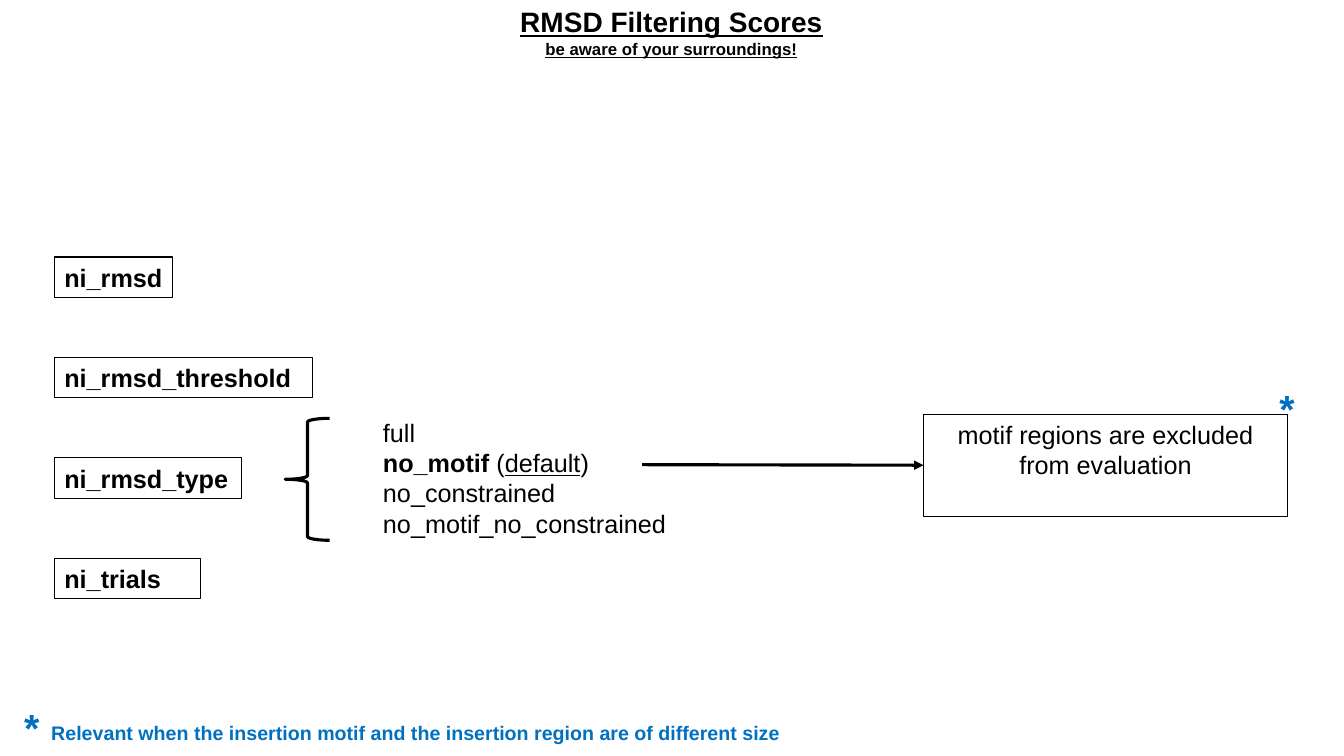
from lxml import etree
from pptx import Presentation
from pptx.dml.color import RGBColor
from pptx.enum.shapes import MSO_CONNECTOR, MSO_SHAPE
from pptx.enum.text import MSO_ANCHOR, MSO_AUTO_SIZE, PP_ALIGN
from pptx.oxml.ns import qn
from pptx.util import Inches, Pt

LEFT, CENTER = PP_ALIGN.LEFT, PP_ALIGN.CENTER
TOP = MSO_ANCHOR.TOP
FIT_SHAPE, NO_FIT = MSO_AUTO_SIZE.SHAPE_TO_FIT_TEXT, MSO_AUTO_SIZE.NONE
BRACE, RECTANGLE = MSO_SHAPE.LEFT_BRACE, MSO_SHAPE.RECTANGLE
STRAIGHT = MSO_CONNECTOR.STRAIGHT

FONT = "Arial"
BLACK, BLUE = "000000", "0070C0"

TITLE = [[("RMSD Filtering Scores", 20, "bu")],
         [("be aware of your surroundings!", 12, "bu")]]
TYPE_VALUES = [[("full", 18, "")],
               [("no_motif", 18, "b"), (" (", 18, ""), ("default", 18, "u"), (")", 18, "")],
               [("no_constrained", 18, "")],
               [("no_motif_no_constrained", 18, "")]]
EXPLANATION = [[("motif regions are excluded from evaluation", 18, "")]]
STAR = [[("*", 28, "b")]]
FOOTNOTE = [[("Relevant when the insertion motif and the insertion region are of different size", 14, "b")]]

OPTIONS = [("ni_rmsd", 1.17), ("ni_rmsd_threshold", 2.56), ("ni_rmsd_type", 1.86), ("ni_trials", 1.45)]
OPTION_LEFT, OPTION_HEIGHT = 0.54, 0.4
FIRST_TOP, LAST_TOP = 2.55, 5.54

TEXT_BOXES = [(TITLE, (4.96, 0, 3.4, 0.64), BLACK, CENTER),
              (TYPE_VALUES, (3.7, 4.09, 3.39, 1.31), BLACK, LEFT),
              (STAR, (12.59, 3.76, 0.42, 0.57), BLUE, LEFT),
              (STAR, (0.14, 6.93, 0.42, 0.57), BLUE, LEFT),
              (FOOTNOTE, (0.41, 7.1, 8.76, 0.34), BLUE, LEFT)]
BRACE_AREA = (2.83, 4.15, 0.44, 1.21)
EXPLANATION_AREA = (9.16, 4.11, 3.61, 1.01)
ARROW_START = (6.37, 4.61)


def color(hex_string):
    return RGBColor.from_string(hex_string)


def set_line(shape, width):
    shape.line.color.rgb = color(BLACK)
    shape.line.width = Pt(width)


def write(shape, lines, hex_string, alignment):
    frame = shape.text_frame
    frame.vertical_anchor = TOP
    for index, line in enumerate(lines):
        paragraph = frame.add_paragraph() if index else frame.paragraphs[0]
        paragraph.alignment = alignment
        for text, size, style in line:
            run = paragraph.add_run()
            run.text = text
            run.font.name = FONT
            run.font.size = Pt(size)
            run.font.bold = "b" in style
            run.font.underline = "u" in style
            run.font.color.rgb = color(hex_string)


def add_text(slide, lines, area, hex_string, alignment):
    shape = slide.shapes.add_textbox(*map(Inches, area))
    shape.text_frame.word_wrap = False
    shape.text_frame.auto_size = FIT_SHAPE
    write(shape, lines, hex_string, alignment)
    return shape


def add_outline(slide, kind, area, width):
    shape = slide.shapes.add_shape(kind, *map(Inches, area))
    shape.shadow.inherit = False
    shape.fill.background()
    set_line(shape, width)
    return shape


def add_arrow(slide, start, target):
    x, y = map(Inches, start)
    arrow = slide.shapes.add_connector(STRAIGHT, x, y, x, y)
    arrow.end_connect(target, 1)
    set_line(arrow, 2.25)
    etree.SubElement(arrow.line._get_or_add_ln(), qn("a:tailEnd"), type="triangle")
    etree.SubElement(arrow._element.spPr, qn("a:effectLst"))


def main():
    """Build the slide on RMSD filtering scores."""
    presentation = Presentation()
    presentation.slide_width = Inches(13.33)
    presentation.slide_height = Inches(7.5)
    slide = presentation.slides.add_slide(presentation.slide_layouts[6])

    add_outline(slide, BRACE, BRACE_AREA, 2.25)
    explanation = add_outline(slide, RECTANGLE, EXPLANATION_AREA, 0.75)
    explanation.text_frame.word_wrap = True
    explanation.text_frame.auto_size = NO_FIT
    write(explanation, EXPLANATION, BLACK, CENTER)
    add_arrow(slide, ARROW_START, explanation)

    for lines, area, hex_string, alignment in TEXT_BOXES:
        add_text(slide, lines, area, hex_string, alignment)

    pitch = (LAST_TOP - FIRST_TOP) / (len(OPTIONS) - 1)
    for index, (name, width) in enumerate(OPTIONS):
        area = (OPTION_LEFT, FIRST_TOP + index * pitch, width, OPTION_HEIGHT)
        option = add_text(slide, [[(name, 18, "b")]], area, BLACK, LEFT)
        set_line(option, 0.75)

    presentation.save("out.pptx")


if __name__ == "__main__":
    main()
